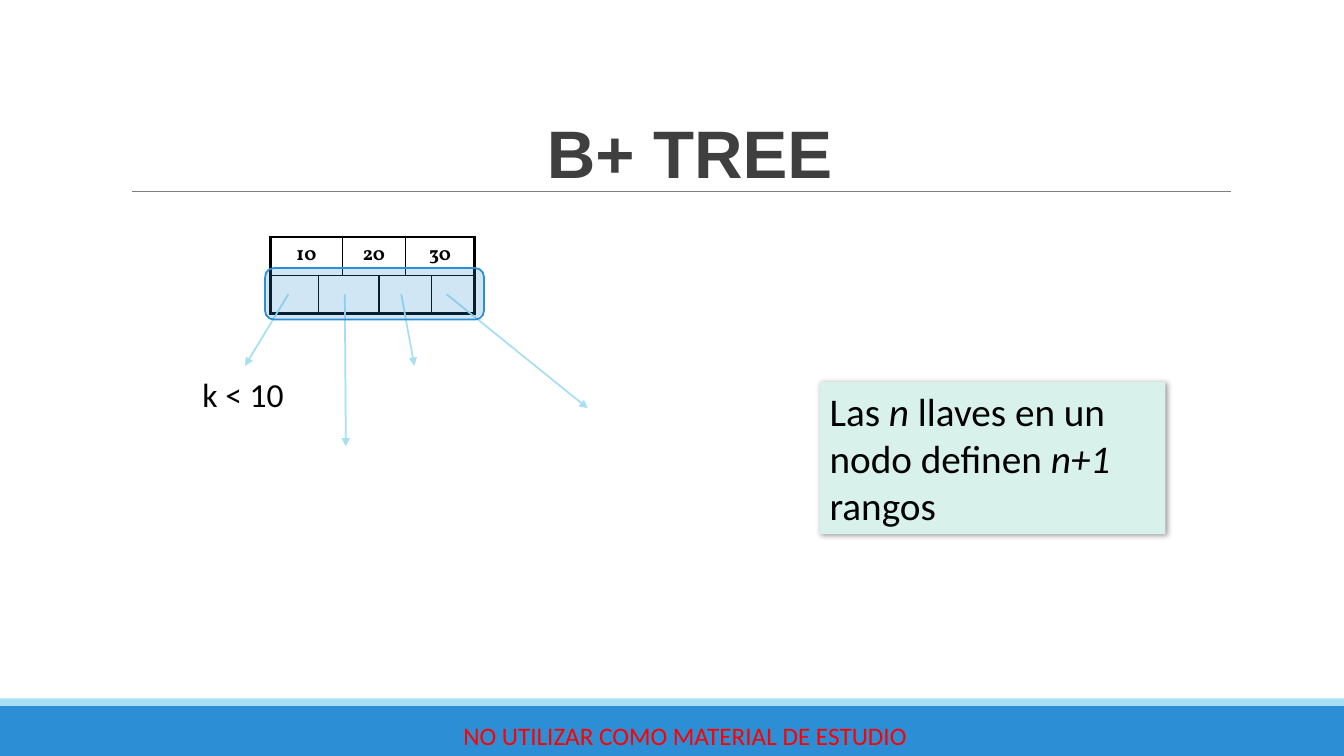
from lxml import etree
from pptx import Presentation
from pptx.dml.color import RGBColor
from pptx.enum.shapes import MSO_CONNECTOR as Link, MSO_SHAPE as Shape
from pptx.enum.text import MSO_ANCHOR as Anchor, MSO_AUTO_SIZE as Auto, PP_ALIGN as Align
from pptx.oxml import parse_xml
from pptx.oxml.ns import qn
from pptx.util import Pt

PX = 9144  # 100 px to the inch
NS = 'xmlns:a="http://schemas.openxmlformats.org/drawingml/2006/main"'
BLUE = RGBColor(0x2C, 0x8E, 0xD5)
SKY = RGBColor(0xA8, 0xDF, 0xF3)
GRAY = RGBColor(0x7F, 0x7F, 0x7F)
DARK = RGBColor(0x3F, 0x3F, 0x3F)
MINT = RGBColor(0xD8, 0xF1, 0xEA)
RED = RGBColor(0xFF, 0, 0)
BLACK = RGBColor(0, 0, 0)


def style(run, size, color, face="Calibri", bold=False):
    font = run.font
    font.size, font.name, font.bold = Pt(size), face, bold
    font.color.rgb = color


def connect(x1, y1, x2, y2, color, width):
    line = slide.shapes.add_connector(Link.STRAIGHT, x1 * PX, y1 * PX, x2 * PX, y2 * PX)
    line.line.color.rgb = color
    line.line.width = Pt(width)
    etree.SubElement(line._element.spPr, qn("a:effectLst"))
    return line


prs = Presentation()
prs.slide_width, prs.slide_height = 1333 * PX, 750 * PX
slide = prs.slides.add_slide(prs.slide_layouts[5])
shapes = slide.shapes

# Footer bands and rule under the title
for top, high, color in ((700, 50, BLUE), (693, 7, SKY)):
    band = shapes.add_shape(Shape.RECTANGLE, 0, top * PX, 1333 * PX, high * PX)
    band.shadow.inherit = False
    band.fill.solid()
    band.fill.fore_color.rgb = color
    band.line.fill.background()
connect(131, 190, 1221, 190, GRAY, 0.75)

# Title
title = shapes.title
title.left, title.top, title.width, title.height = 133 * PX, 20 * PX, 1102 * PX, 176 * PX
frame = title.text_frame
frame.text = "B+ TREE"
frame.vertical_anchor = Anchor.BOTTOM
para = frame.paragraphs[0]
para.alignment, para.line_spacing = Align.CENTER, 0.85
style(para.runs[0], 48, DARK, "Arial", True)

# Footer text
foot = shapes.add_textbox(416 * PX, 710 * PX, 527 * PX, 40 * PX).text_frame
foot.word_wrap = True
foot.vertical_anchor = Anchor.MIDDLE
foot.text = "NO UTILIZAR COMO MATERIAL DE ESTUDIO"
foot.paragraphs[0].alignment = Align.CENTER
style(foot.paragraphs[0].runs[0], 18, RED)

# Tree node: keys above, pointers below
widths = (48, 21, 36, 26, 26, 43)
holder = shapes.add_table(2, 6, 268 * PX, 235 * PX, sum(widths) * PX, 76 * PX)
node = holder.table
node.first_row = node.horz_banding = False
for col, wide in zip(node.columns, widths):
    col.width = wide * PX
for row in node.rows:
    row.height = 38 * PX
for r, c in ((0, 0), (0, 2), (0, 4), (1, 1), (1, 3)):
    node.cell(r, c).merge(node.cell(r, c + 1))
for c, key in zip((0, 2, 4), ("10", "20", "30")):
    para = node.cell(0, c).text_frame.paragraphs[0]
    para.text = key
    para.alignment = Align.CENTER
    style(para.runs[0], 14, BLACK, "Vollkorn", True)
for r in range(2):
    for c in range(6):
        cell = node.cell(r, c)
        if r == 1:
            cell.margin_top = cell.margin_bottom = 0
        props = cell._tc.get_or_add_tcPr()
        outer = {"L": c == 0, "R": c == 5 or (r == 0 and c == 4), "T": r == 0, "B": r == 1}
        for side, edge in outer.items():
            props.append(parse_xml(
                f'<a:ln{side} {NS} w="{Pt(2.25 if edge else 1)}"><a:solidFill>'
                f'<a:srgbClr val="{BLACK}"/></a:solidFill></a:ln{side}>'))
        cell.fill.background()

# Pointer arrows
for x1, x2, y2 in ((398, 411, 363), (286, 243, 363), (342, 343, 443), (443, 583, 405)):
    arrow = connect(x1, 292, x2, y2, SKY, 1.25)
    etree.SubElement(arrow.line._get_or_add_ln(), qn("a:tailEnd"), type="triangle")

# Range label
label = shapes.add_textbox(191 * PX, 366 * PX, 101 * PX, 50 * PX).text_frame
label.auto_size = Auto.SHAPE_TO_FIT_TEXT
label.word_wrap = False
label.text = "k < 10"
style(label.paragraphs[0].runs[0], 24, BLACK)

# Highlight over the pointers
mark = shapes.add_shape(Shape.ROUNDED_RECTANGLE, 263 * PX, 266 * PX, 217 * PX, 51 * PX)
mark.shadow.inherit = False
mark.fill.solid()
mark.fill.fore_color.rgb = BLUE
tint = mark._element.spPr.find(qn("a:solidFill"))[0]
etree.SubElement(tint, qn("a:alpha"), val="22000")
mark.line.color.rgb = BLUE
mark.line.width = Pt(1.25)

# Note with a soft shadow
note = shapes.add_shape(Shape.RECTANGLE, 813 * PX, 379 * PX, 343 * PX, 151 * PX)
note.fill.solid()
note.fill.fore_color.rgb = MINT
note.line.fill.background()
note._element.spPr.append(parse_xml(
    f'<a:effectLst {NS}><a:outerShdw blurRad="{Pt(4)}" dist="{Pt(1)}" dir="2700000">'
    f'<a:srgbClr val="{BLACK}"><a:alpha val="40000"/></a:srgbClr></a:outerShdw></a:effectLst>'))
frame = note.text_frame
frame.word_wrap = True
frame.auto_size = Auto.SHAPE_TO_FIT_TEXT
frame.vertical_anchor = Anchor.TOP
para = frame.paragraphs[0]
para.alignment = Align.LEFT
parts = ("Las ", "n ", "llaves en un nodo definen ", "n+1 ", "rangos")
for i, part in enumerate(parts):
    run = para.add_run()
    run.text = part
    style(run, 28, BLACK)
    run.font.italic = i % 2 == 1

prs.save("out.pptx")
